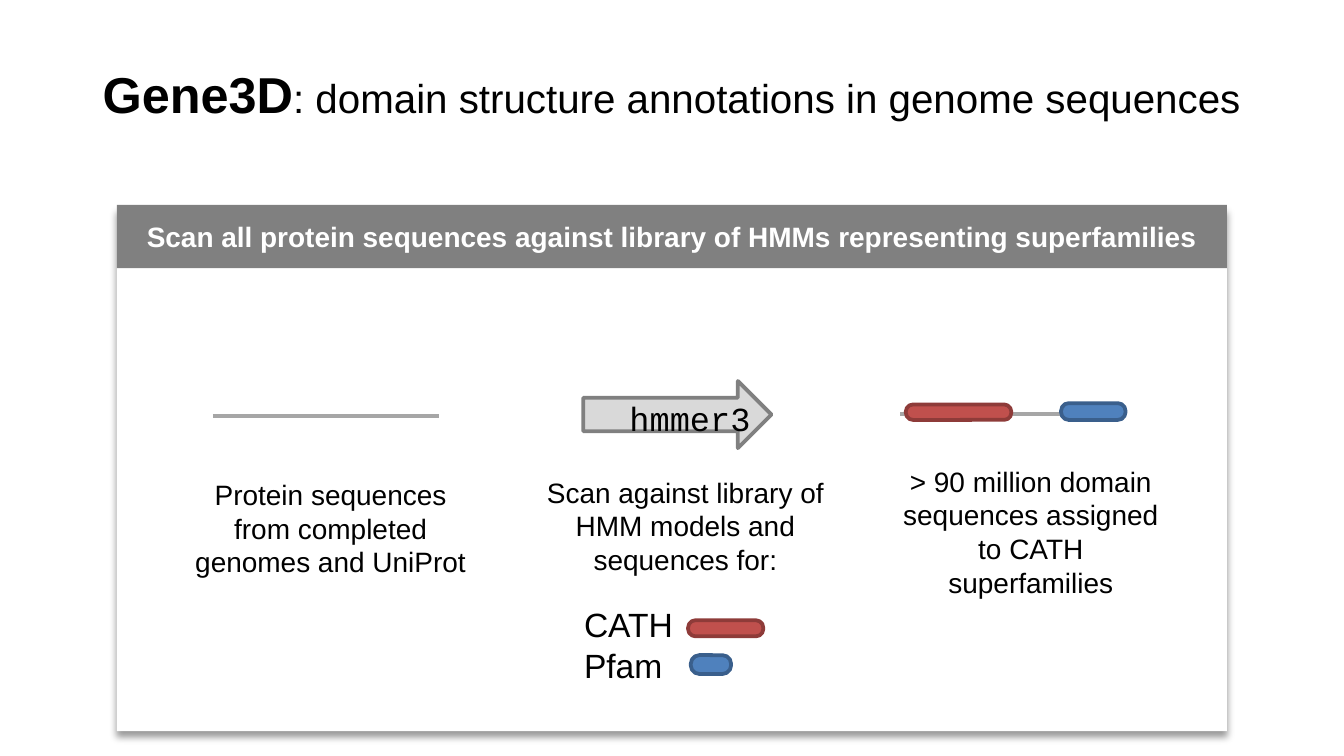
"""Build the Gene3D slide on scanning protein sequences against an HMM library."""
from dataclasses import dataclass

from lxml.etree import SubElement
from pptx import Presentation
from pptx.dml.color import RGBColor
from pptx.enum.shapes import MSO_CONNECTOR, MSO_SHAPE
from pptx.enum.text import MSO_ANCHOR, MSO_AUTO_SIZE, PP_ALIGN
from pptx.oxml.ns import qn
from pptx.util import Emu, Pt

EMU_PER_PX = 4572


@dataclass(frozen=True)
class Theme:
    white: str = "FFFFFF"
    black: str = "000000"
    header: str = "808080"
    arrow: str = "D9D9D9"
    sequence: str = "A6A6A6"
    cath: str = "C0504D"
    cath_edge: str = "8E3B39"
    pfam: str = "4F81BD"
    pfam_edge: str = "3A5F8C"
    font: str = "Arial"
    code_font: str = "Courier New"
    title_size: float = 27
    subtitle_size: float = 21.6
    body_size: float = 15
    label_size: float = 18
    edge_width: float = 2
    sequence_width: float = 2.25


THEME = Theme()


@dataclass(frozen=True)
class Box:
    left: int
    top: int
    width: int
    height: int

    def emu(self) -> tuple[Emu, ...]:
        """Return the four lengths in EMU."""
        return tuple(px(value) for value in (self.left, self.top, self.width, self.height))


@dataclass(frozen=True)
class Run:
    text: str
    size: float = THEME.body_size
    bold: bool = False
    color: str = THEME.black
    font: str = THEME.font


@dataclass(frozen=True)
class Text:
    box: Box
    paragraphs: tuple[tuple[Run, ...], ...]
    align: PP_ALIGN = PP_ALIGN.CENTER
    anchor: MSO_ANCHOR = MSO_ANCHOR.TOP
    margins: tuple[int, int] = (15, 8)
    wrap: bool = True
    grow: bool = True


@dataclass(frozen=True)
class Block:
    kind: MSO_SHAPE
    box: Box
    fill: str
    edge: str | None = None


@dataclass(frozen=True)
class Sequence:
    left: int
    top: int
    width: int = 336


def px(value: int) -> Emu:
    """Turn px into EMU."""
    return Emu(value * EMU_PER_PX)


def cath_pill(box: Box) -> Block:
    """Describe a CATH domain."""
    return Block(MSO_SHAPE.ROUNDED_RECTANGLE, box, THEME.cath, THEME.cath_edge)


def pfam_pill(box: Box) -> Block:
    """Describe a Pfam domain."""
    return Block(MSO_SHAPE.ROUNDED_RECTANGLE, box, THEME.pfam, THEME.pfam_edge)


def fill_text(shape, text: Text) -> None:
    """Write the paragraphs of a text into a shape."""
    frame = shape.text_frame
    frame.word_wrap = text.wrap
    frame.auto_size = MSO_AUTO_SIZE.SHAPE_TO_FIT_TEXT if text.grow else MSO_AUTO_SIZE.NONE
    frame.vertical_anchor = text.anchor
    frame.margin_left = frame.margin_right = px(text.margins[0])
    frame.margin_top = frame.margin_bottom = px(text.margins[1])
    for index, runs in enumerate(text.paragraphs):
        paragraph = frame.add_paragraph() if index else frame.paragraphs[0]
        paragraph.alignment = text.align
        for item in runs:
            run = paragraph.add_run()
            run.text = item.text
            run.font.name = item.font
            run.font.size = Pt(item.size)
            run.font.bold = item.bold
            run.font.color.rgb = RGBColor.from_string(item.color)


def draw_text(shapes, text: Text) -> None:
    """Draw a text box."""
    fill_text(shapes.add_textbox(*text.box.emu()), text)


def draw_block(shapes, block: Block):
    """Draw a filled preset shape and return it."""
    shape = shapes.add_shape(block.kind, *block.box.emu())
    shape.shadow.inherit = False
    shape.fill.solid()
    shape.fill.fore_color.rgb = RGBColor.from_string(block.fill)
    if block.edge:
        shape.line.color.rgb = RGBColor.from_string(block.edge)
        shape.line.width = Pt(THEME.edge_width)
    else:
        shape.line.fill.background()
    if block.kind == MSO_SHAPE.ROUNDED_RECTANGLE:
        shape.adjustments[0] = 0.46
    return shape


def draw_sequence(shapes, sequence: Sequence) -> None:
    """Draw a protein sequence as a horizontal line."""
    start, top, end = px(sequence.left), px(sequence.top), px(sequence.left + sequence.width)
    line = shapes.add_connector(MSO_CONNECTOR.STRAIGHT, start, top, end, top)
    line.line.color.rgb = RGBColor.from_string(THEME.sequence)
    line.line.width = Pt(THEME.sequence_width)
    SubElement(line._element.spPr, qn("a:effectLst"))


def add_shadow(shape) -> None:
    """Give a shape a soft shadow below it."""
    effects = shape._element.spPr.find(qn("a:effectLst"))
    shadow = SubElement(effects, qn("a:outerShdw"), blurRad=str(Pt(4)), dist=str(Pt(3)),
                        dir="5400000", rotWithShape="0")
    color = SubElement(shadow, qn("a:srgbClr"), val=THEME.black)
    SubElement(color, qn("a:alpha"), val="40000")


def caption(box: Box, words: str) -> Text:
    """Describe a centred caption."""
    return Text(box, ((Run(words),),))


def main() -> None:
    """Build and save the slide."""
    presentation = Presentation()
    presentation.slide_width, presentation.slide_height = px(2000), px(1125)
    slide = presentation.slides.add_slide(presentation.slide_layouts[6])
    shapes = slide.shapes

    panel_box = Box(174, 308, 1652, 780)
    add_shadow(draw_block(shapes, Block(MSO_SHAPE.RECTANGLE, panel_box, THEME.white)))
    header_box = Box(174, 305, 1652, 94)
    header = draw_block(shapes, Block(MSO_SHAPE.RECTANGLE, header_box, THEME.header))
    header_run = Run("Scan all protein sequences against library of HMMs representing superfamilies",
                     bold=True, color=THEME.white)
    fill_text(header, Text(header_box, ((header_run,),), anchor=MSO_ANCHOR.MIDDLE, grow=False))

    title_runs = (Run("Gene3D", THEME.title_size, bold=True),
                  Run(": domain structure annotations in genome sequences", THEME.subtitle_size))
    draw_text(shapes, Text(Box(100, 45, 1800, 188), (title_runs,), anchor=MSO_ANCHOR.MIDDLE,
                           margins=(20, 10), grow=False))

    draw_sequence(shapes, Sequence(317, 619))
    draw_text(shapes, caption(Box(268, 703, 448, 166),
                              "Protein sequences from completed genomes and UniProt"))
    draw_text(shapes, caption(Box(1317, 683, 434, 218),
                              "> 90 million domain sequences assigned to CATH superfamilies"))

    scan = shapes.add_group_shape().shapes
    draw_block(scan, Block(MSO_SHAPE.RIGHT_ARROW, Box(868, 567, 280, 100), THEME.arrow, THEME.header))
    scan_run = Run("hmmer3", THEME.label_size, font=THEME.code_font)
    draw_text(scan, Text(Box(917, 582, 222, 80), ((scan_run,),), PP_ALIGN.LEFT,
                         margins=(20, 10), wrap=False))

    annotated = shapes.add_group_shape().shapes
    draw_sequence(annotated, Sequence(1340, 616))
    draw_block(annotated, cath_pill(Box(1348, 602, 157, 23)))
    draw_block(annotated, pfam_pill(Box(1579, 600, 96, 25)))

    draw_text(shapes, caption(Box(790, 699, 460, 166),
                              "Scan against library of HMM models and sequences for:"))
    draw_block(shapes, pfam_pill(Box(1028, 975, 60, 28)))
    draw_block(shapes, cath_pill(Box(1024, 923, 112, 24)))
    legend = tuple((Run(name, THEME.label_size),) for name in ("CATH", "Pfam"))
    draw_text(shapes, Text(Box(854, 891, 224, 136), legend, PP_ALIGN.LEFT))

    presentation.save("out.pptx")


if __name__ == "__main__":
    main()
